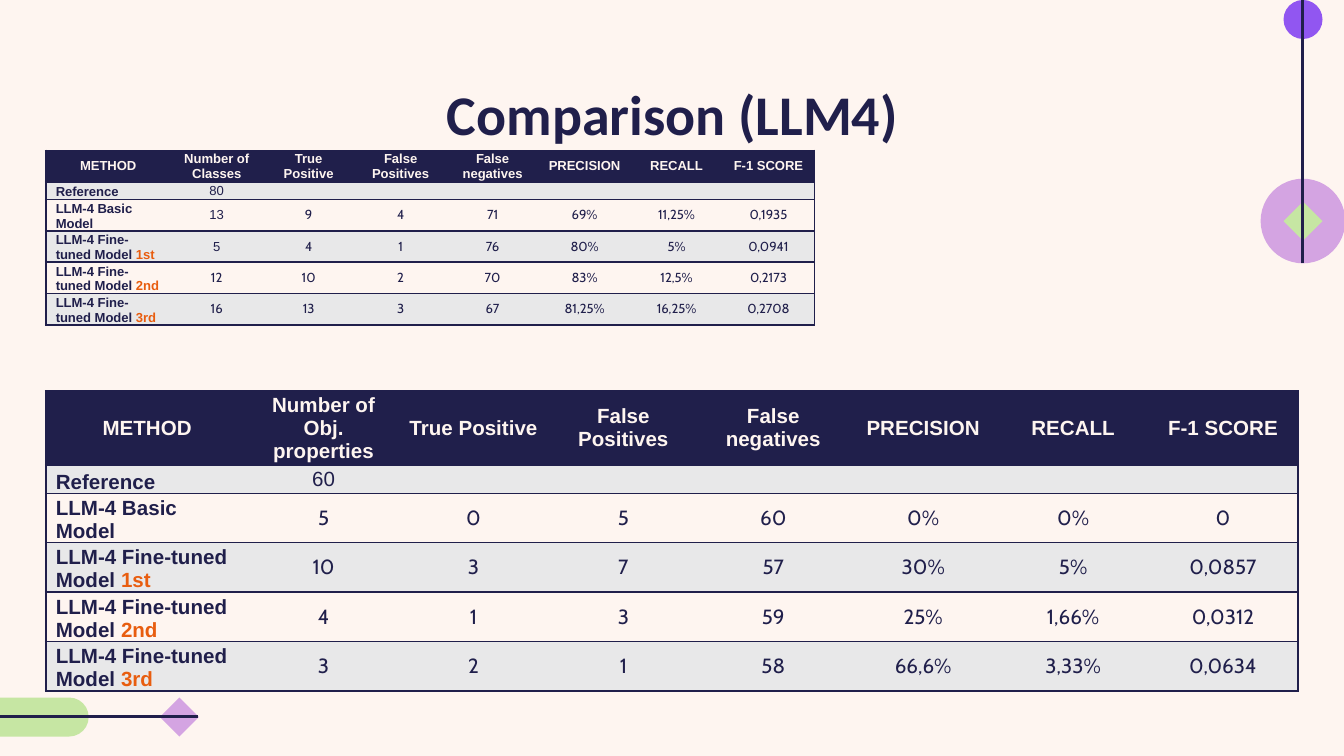
import pptx
import pptx.util
import pptx.dml.color
import pptx.enum.shapes
import pptx.enum.text
import pptx.oxml.ns
import lxml.etree

Inches, Pt = pptx.util.Inches, pptx.util.Pt
SHAPE = pptx.enum.shapes.MSO_SHAPE
ALIGN = pptx.enum.text.PP_ALIGN
ANCHOR = pptx.enum.text.MSO_ANCHOR
qn = pptx.oxml.ns.qn

THEME = {
    "navy": "201F4B", "cream": "FEF5F0", "grey": "E8E8E9", "orange": "E85D0F",
    "lilac": "D4A4E2", "green": "C6E6A3", "violet": "9156F1",
    "title_font": "Calibri", "label_font": "Arial", "value_font": "Cabin",
    "title_size": 30, "rule": 1, "stem": 1.5,
}
NO_STYLE = "{2D5ABB26-0587-4C30-8999-92F81FD0307C}"

TITLE = "Comparison (LLM4)"
METRICS = ["True Positive", "False Positives", "False negatives",
           "PRECISION", "RECALL", "F-1 SCORE"]
# Each label is (text, highlighted ending)
LABELS = [("Reference", ""), ("LLM-4 Basic Model", "")] + [
    ("LLM-4 Fine-tuned Model ", nth) for nth in ("1st", "2nd", "3rd")]

# label_font_counts: how many leading counts are set in the label font
TABLES = [
    {"counted": "Number of Classes", "size": 7, "label_font_counts": 3,
     "top": 1.12, "width": 5.72, "first_col": 0.93,
     "rows": [0.23, 0.13] + [0.23] * 4,
     "values": [
         ["80"],
         ["13", "9", "4", "71", "69%", "11,25%", "0,1935"],
         ["5", "4", "1", "76", "80%", "5%", "0,0941"],
         ["12", "10", "2", "70", "83%", "12,5%", "0,2173"],
         ["16", "13", "3", "67", "81,25%", "16,25%", "0,2708"]]},
    {"counted": "Number of Obj. properties", "size": 11, "label_font_counts": 1,
     "top": 2.91, "width": 9.32, "first_col": 1.51,
     "rows": [0.25] + [0.21] * 5,
     "values": [
         ["60"],
         ["5", "0", "5", "60", "0%", "0%", "0"],
         ["10", "3", "7", "57", "30%", "5%", "0,0857"],
         ["4", "1", "3", "59", "25%", "1,66%", "0,0312"],
         ["3", "2", "1", "58", "66,6%", "3,33%", "0,0634"]]},
]
TABLE_LEFT = 0.34

# preset, left, top, width, height, colour
ORNAMENTS = [
    (SHAPE.OVAL, 9.38, 1.33, 0.63, 0.63, "lilac"),
    (SHAPE.DIAMOND, 9.55, 1.5, 0.29, 0.29, "green"),
    (SHAPE.OVAL, 9.55, 0, 0.29, 0.29, "violet"),
    (SHAPE.ROUNDED_RECTANGLE, -0.69, 5.19, 1.35, 0.29, "green"),
    (SHAPE.DIAMOND, 1.19, 5.19, 0.29, 0.29, "lilac"),
]
STEMS = [(9.69, 1.96, 9.69, 0), (-0.48, 5.33, 1.47, 5.33)]


def rgb(name):
    return pptx.dml.color.RGBColor.from_string(THEME[name])


def add_run(p, text, size, font, color, bold):
    r = p.add_run()
    r.text = text
    for key, value in {"size": Pt(size), "name": THEME[font], "bold": bold}.items():
        setattr(r.font, key, value)
    r.font.color.rgb = rgb(color)


def set_borders(cell, sides):
    """Rule the given sides (letters of LRTB) and clear the others."""
    tc_pr = cell._tc.get_or_add_tcPr()
    for side in "LRTB":
        ln = lxml.etree.SubElement(tc_pr, qn(f"a:ln{side}"), w=str(Pt(THEME["rule"])))
        if side in sides:
            fill = lxml.etree.SubElement(ln, qn("a:solidFill"))
            lxml.etree.SubElement(fill, qn("a:srgbClr"), val=THEME["navy"])
        else:
            lxml.etree.SubElement(ln, qn("a:noFill"))


def cell_runs(data, row, col):
    """Return the runs of a cell as (text, font, colour, bold)."""
    if row == 0:
        header = ["METHOD", data["counted"], *METRICS][col]
        return [(header, "label_font", "cream", True)]
    if col == 0:
        label, ending = LABELS[row - 1]
        runs = [(label, "label_font", "navy", True)]
        return runs + ([(ending, "label_font", "orange", True)] if ending else [])
    values = data["values"][row - 1]
    if col > len(values):
        return []
    is_label = col == 1 and row <= data["label_font_counts"]
    return [(values[col - 1], "label_font" if is_label else "value_font", "navy", False)]


def add_results(s, data):
    n_rows, n_cols = len(data["rows"]), len(METRICS) + 2
    frame = s.shapes.add_table(n_rows, n_cols, Inches(TABLE_LEFT), Inches(data["top"]),
                               Inches(data["width"]), Inches(sum(data["rows"])))
    table = frame.table
    table._tbl.tblPr.find(qn("a:tableStyleId")).text = NO_STYLE
    other_col = (data["width"] - data["first_col"]) / (n_cols - 1)
    for col, column in enumerate(table.columns):
        column.width = Inches(other_col if col else data["first_col"])
    for row, height in enumerate(data["rows"]):
        table.rows[row].height = Inches(height)
        for col in range(n_cols):
            cell = table.cell(row, col)
            is_label = row > 0 and col == 0
            set_borders(cell, "TB" + {0: "L", n_cols - 1: "R"}.get(col, ""))
            cell.fill.solid()
            cell.fill.fore_color.rgb = rgb(
                "navy" if row == 0 else "grey" if row % 2 else "cream")
            for key, value in {
                    "margin_left": Pt(5.4), "margin_right": Pt(5.4),
                    "margin_top": 0, "margin_bottom": 0,
                    "vertical_anchor": ANCHOR.BOTTOM if is_label else ANCHOR.MIDDLE}.items():
                setattr(cell, key, value)
            p = cell.text_frame.paragraphs[0]
            p.alignment = ALIGN.LEFT if is_label else ALIGN.CENTER
            runs = cell_runs(data, row, col)
            for text, font, color, bold in runs:
                add_run(p, text, data["size"], font, color, bold)
            if not runs:  # keeps an empty cell from stretching its row
                lxml.etree.SubElement(p._p, qn("a:endParaRPr"), sz=str(data["size"] * 100))


def add_ornaments(s):
    for preset, left, top, width, height, color in ORNAMENTS:
        sp = s.shapes.add_shape(preset, *map(Inches, (left, top, width, height)))
        sp.shadow.inherit = False
        sp.fill.solid()
        sp.fill.fore_color.rgb = rgb(color)
        sp.line.fill.background()
        if preset == SHAPE.ROUNDED_RECTANGLE:
            sp.adjustments[0] = 0.5
    for ends in STEMS:
        line = s.shapes.add_connector(pptx.enum.shapes.MSO_CONNECTOR.STRAIGHT,
                                      *map(Inches, ends))
        line.line.color.rgb = rgb("navy")
        line.line.width = Pt(THEME["stem"])
        lxml.etree.SubElement(line._element.spPr, qn("a:effectLst"))


def add_title(s):
    tf = s.shapes.add_textbox(*map(Inches, (0.79, 0.49, 8.43, 0.63))).text_frame
    for key, value in {"word_wrap": True, "vertical_anchor": ANCHOR.TOP,
                       **{f"margin_{side}": Inches(0.1)
                          for side in ("left", "right", "top", "bottom")}}.items():
        setattr(tf, key, value)
    p = tf.paragraphs[0]
    p.alignment = ALIGN.CENTER
    add_run(p, TITLE, THEME["title_size"], "title_font", "navy", True)


def main():
    prs = pptx.Presentation()
    prs.slide_width = Inches(10)
    prs.slide_height = prs.slide_width * 9 // 16
    s = prs.slides.add_slide(prs.slide_layouts[6])
    s.background.fill.solid()
    s.background.fill.fore_color.rgb = rgb("cream")
    add_ornaments(s)
    add_title(s)
    for data in TABLES:
        add_results(s, data)
    prs.save("out.pptx")


if __name__ == "__main__":
    main()
